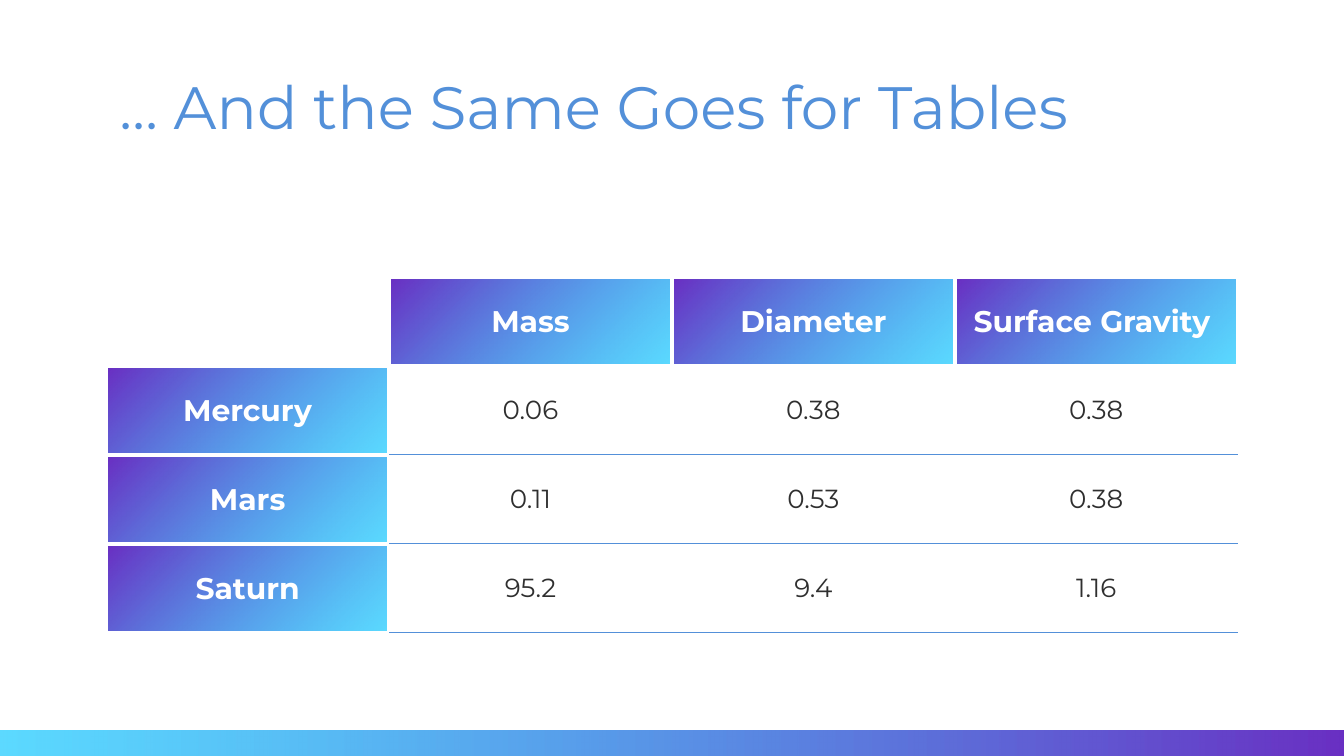
from itertools import product

from lxml.etree import SubElement
from pptx import Presentation
from pptx.dml.color import RGBColor
from pptx.enum.shapes import MSO_SHAPE as Shape
from pptx.enum.text import MSO_ANCHOR as Anchor, PP_ALIGN as Align
from pptx.oxml.ns import qn
from pptx.util import Inches, Pt

PURPLE = RGBColor(0x69, 0x30, 0xC3)
CYAN = RGBColor(0x00, 0xC4, 0xFF)
BLUE = RGBColor(0x53, 0x90, 0xD9)
WHITE = RGBColor(0xFF, 0xFF, 0xFF)
DARK = RGBColor(0x2F, 0x2F, 0x2F)

FONT = "Montserrat"
NO_STYLE = "{2D5ABB26-0587-4C30-8999-92F81FD0307C}"
SLIDE_WIDTH = 10
SLIDE_HEIGHT = SLIDE_WIDTH * 9 / 16
BAR_HEIGHT = 0.19
LEFT, TOP, WIDTH, HEIGHT = 0.79, 2.06, 8.42, 2.65
ROWS = [
    ["", "Mass", "Diameter", "Surface Gravity "],
    ["Mercury", "0.06", "0.38", "0.38"],
    ["Mars", "0.11", "0.53", "0.38"],
    ["Saturn", "95.2", "9.4", "1.16"],
]
COLUMN_WIDTH = WIDTH / len(ROWS[0])
ROW_HEIGHT = HEIGHT / len(ROWS)
GAP = 0.02

TITLE_FORMAT = {"size": Pt(32), "bold": False}
HEADING_FORMAT = {"size": Pt(16), "bold": True}
VALUE_FORMAT = {"size": Pt(14), "bold": False}


def write_text(frame, text, color, font_format):
    """Write one paragraph into a text frame and return it."""
    paragraph = frame.paragraphs[0]
    run = paragraph.add_run()
    run.text = text
    for name, value in {"name": FONT, **font_format}.items():
        setattr(run.font, name, value)
    run.font.color.rgb = color
    return paragraph


def add_gradient_box(slide, left, top, width, height, angle):
    """Add a rectangle fading from purple to translucent cyan."""
    shape = slide.shapes.add_shape(
        Shape.RECTANGLE, Inches(left), Inches(top), Inches(width), Inches(height)
    )
    shape.shadow.inherit = False
    shape.line.fill.background()
    shape.fill.gradient()
    shape.fill.gradient_angle = angle
    for stop, color, position in zip(shape.fill.gradient_stops, (PURPLE, CYAN), (0, 1)):
        stop.color.rgb = color
        stop.position = position
    cyan_stop = shape.element.xpath(".//a:gs/a:srgbClr")[-1]
    SubElement(cyan_stop, qn("a:alpha"), val="64000")


def add_title(slide, text):
    """Add the slide title."""
    box = slide.shapes.add_textbox(Inches(0.79), Inches(0.42), Inches(8.43), Inches(0.67))
    frame = box.text_frame
    frame.word_wrap = True
    frame.margin_top = frame.margin_bottom = Inches(0.1)
    write_text(frame, text, BLUE, TITLE_FORMAT)


def add_border(cell, side):
    """Draw a thin blue border on one side of a cell."""
    properties = cell._tc.get_or_add_tcPr()
    line = SubElement(properties, qn(f"a:{side}"), w=str(Pt(0.75)))
    fill = SubElement(line, qn("a:solidFill"))
    SubElement(fill, qn("a:srgbClr"), val=str(BLUE))


def fill_cell(cell, text, row, column):
    """Write and format one table cell."""
    is_heading = row == 0 or column == 0
    if not is_heading:
        for side in ("lnT", "lnB") if row > 1 else ("lnB",):
            add_border(cell, side)
    cell.fill.background()
    cell.vertical_anchor = Anchor.MIDDLE
    for side in ("left", "right", "top", "bottom"):
        setattr(cell, f"margin_{side}", Inches(0.1))
    if text:
        color, font_format = (WHITE, HEADING_FORMAT) if is_heading else (DARK, VALUE_FORMAT)
        write_text(cell.text_frame, text, color, font_format).alignment = Align.CENTER


def add_heading_boxes(slide):
    """Place a gradient box behind every row and column heading."""
    places = [(0, column) for column in range(1, len(ROWS[0]))]
    places += [(row, 0) for row in range(1, len(ROWS))]
    for row, column in places:
        add_gradient_box(
            slide,
            LEFT + column * COLUMN_WIDTH + GAP,
            TOP + row * ROW_HEIGHT + GAP,
            COLUMN_WIDTH - 2 * GAP,
            ROW_HEIGHT - 2 * GAP,
            315,
        )


def add_planet_table(slide):
    """Add the table of planet values."""
    graphic_frame = slide.shapes.add_table(
        len(ROWS), len(ROWS[0]), Inches(LEFT), Inches(TOP), Inches(WIDTH), Inches(HEIGHT)
    )
    graphic_frame.element.xpath(".//a:tableStyleId")[0].text = NO_STYLE
    table = graphic_frame.table
    table.first_row = table.horz_banding = False
    for row, column in product(range(len(ROWS)), range(len(ROWS[0]))):
        fill_cell(table.cell(row, column), ROWS[row][column], row, column)


def main():
    """Build and save the slide."""
    presentation = Presentation()
    presentation.slide_width = Inches(SLIDE_WIDTH)
    presentation.slide_height = Inches(SLIDE_HEIGHT)
    slide = presentation.slides.add_slide(presentation.slide_layouts[6])
    add_gradient_box(slide, 0, SLIDE_HEIGHT - BAR_HEIGHT, SLIDE_WIDTH, BAR_HEIGHT, 180)
    add_title(slide, "… And the Same Goes for Tables")
    add_heading_boxes(slide)
    add_planet_table(slide)
    presentation.save("out.pptx")


if __name__ == "__main__":
    main()
